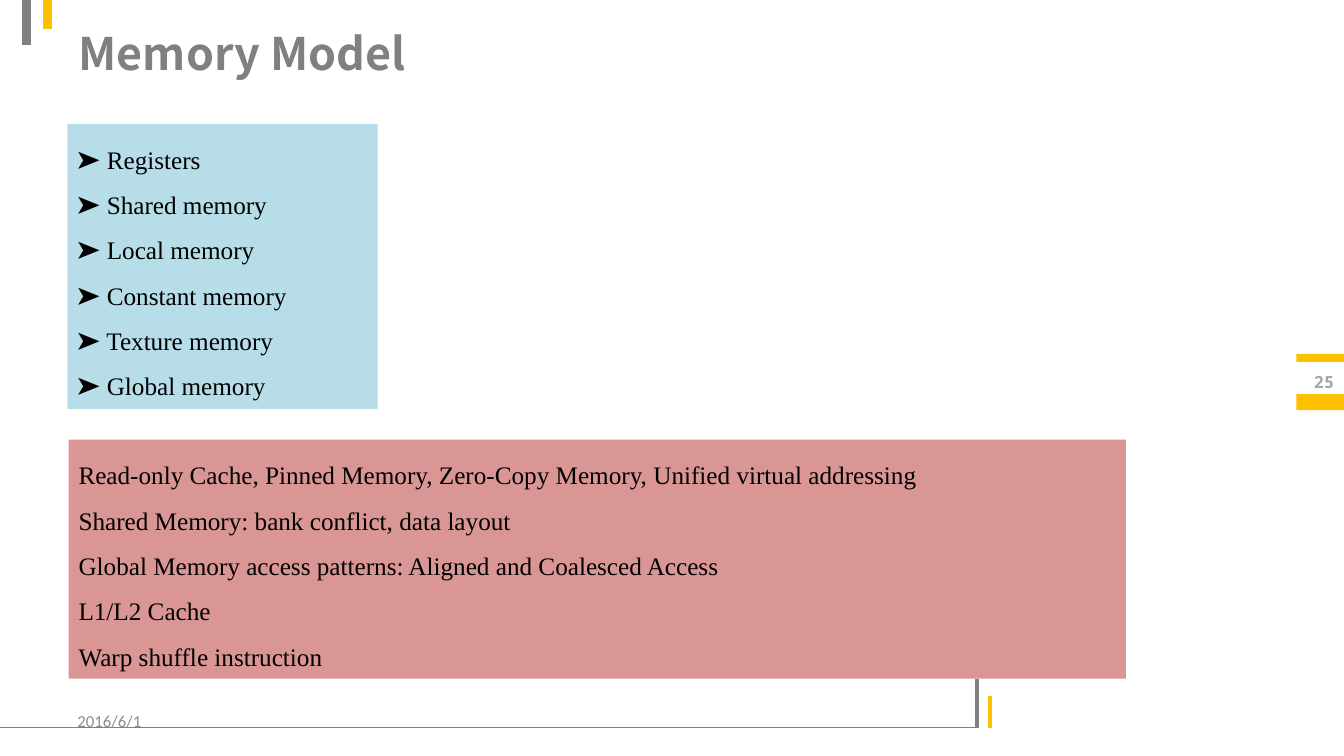
import pptx
import pptx.dml.color
import pptx.enum.shapes
import pptx.enum.text
import pptx.oxml.ns
import pptx.util
from lxml import etree

Pt = pptx.util.Pt
ALIGN = pptx.enum.text.PP_ALIGN
ANCHOR = pptx.enum.text.MSO_ANCHOR


def color(hex_code):
    return pptx.dml.color.RGBColor.from_string(hex_code)


def write(frame, paragraphs, size=18, font="Times New Roman", ink="000000",
          bold=False, align=ALIGN.LEFT, anchor=ANCHOR.TOP, spacing=None):
    frame.word_wrap = True
    frame.vertical_anchor = anchor
    for index, content in enumerate(paragraphs):
        paragraph = frame.paragraphs[0] if index == 0 else frame.add_paragraph()
        paragraph.text = content
        paragraph.alignment = align
        paragraph.line_spacing = spacing
        for run in paragraph.runs:
            run.font.size = Pt(size)
            run.font.name = font
            run.font.bold = bold
            run.font.color.rgb = color(ink)


class SlideBuilder:
    """Holds the palette and the current slide, and draws each kind of element."""

    gray = "808080"
    amber = "FFC000"

    def __init__(self, slide):
        self.slide = slide

    def title(self, text, *box):
        heading = self.slide.shapes.title
        heading.left, heading.top, heading.width, heading.height = map(Pt, box)
        write(heading.text_frame, [text], size=32, font="Noto Sans CJK SC",
              ink=self.gray, bold=True, anchor=ANCHOR.MIDDLE)

    def line(self, x1, y1, x2, y2, ink, width):
        rule = self.slide.shapes.add_connector(
            pptx.enum.shapes.MSO_CONNECTOR.STRAIGHT, *map(Pt, (x1, y1, x2, y2)))
        rule.line.color.rgb = color(ink)
        rule.line.width = Pt(width)
        etree.SubElement(rule._element.spPr, pptx.oxml.ns.qn("a:effectLst"))

    def block(self, fill, *box):
        rect = self.slide.shapes.add_shape(
            pptx.enum.shapes.MSO_SHAPE.RECTANGLE, *map(Pt, box))
        rect.shadow.inherit = False
        rect.fill.solid()
        rect.fill.fore_color.rgb = color(fill)
        rect.line.fill.background()
        return rect

    def panel(self, fill, paragraphs, *box):
        write(self.block(fill, *box).text_frame, paragraphs, spacing=1.5)

    def label(self, text, *box, **style):
        frame = self.slide.shapes.add_textbox(*map(Pt, box)).text_frame
        write(frame, [text], size=12, anchor=ANCHOR.MIDDLE, **style)


def main():
    deck = pptx.Presentation()
    deck.slide_width, deck.slide_height = Pt(960), Pt(540)
    page = SlideBuilder(deck.slides.add_slide(deck.slide_layouts[5]))

    page.line(0, 519.8, 699, 519.8, page.gray, 0.75)
    page.line(697.7, 519.8, 697.7, 485.3, page.gray, 3)
    page.line(707, 519.8, 707, 496.8, page.amber, 3)
    page.line(18.9, 0, 18.9, 32, page.gray, 6)
    page.line(33.9, 0, 33.9, 20.4, page.amber, 6)
    page.block(page.amber, 926, 281.5, 34, 11.5)
    page.block(page.amber, 926, 252.7, 34, 5.8)

    page.title("Memory Model", 49, 9.4, 862, 57)
    page.label("2016/6/1", 48.2, 500.4, 224, 28.8, font="Calibri", ink="8C8C8C")
    page.label("25", 918.7, 258.5, 41.3, 28.8, font="Noto Sans Mono",
               ink="A6A6A6", bold=True, align=ALIGN.RIGHT)

    page.panel("D99694", [
        "Read-only Cache, Pinned Memory, Zero-Copy Memory, Unified virtual addressing",
        "Shared Memory: bank conflict, data layout",
        "Global Memory access patterns: Aligned and Coalesced Access",
        "L1/L2 Cache",
        "Warp shuffle instruction",
    ], 49, 314, 755.3, 170.8)

    memory_types = ["Registers"] + [
        f"{scope} memory"
        for scope in ("Shared", "Local", "Constant", "Texture", "Global")]
    page.panel("B7DEE8", ["\n".join(f"➤ {name}" for name in memory_types)],
               48.2, 88.5, 221.6, 203.5)

    deck.save("out.pptx")


if __name__ == "__main__":
    main()
